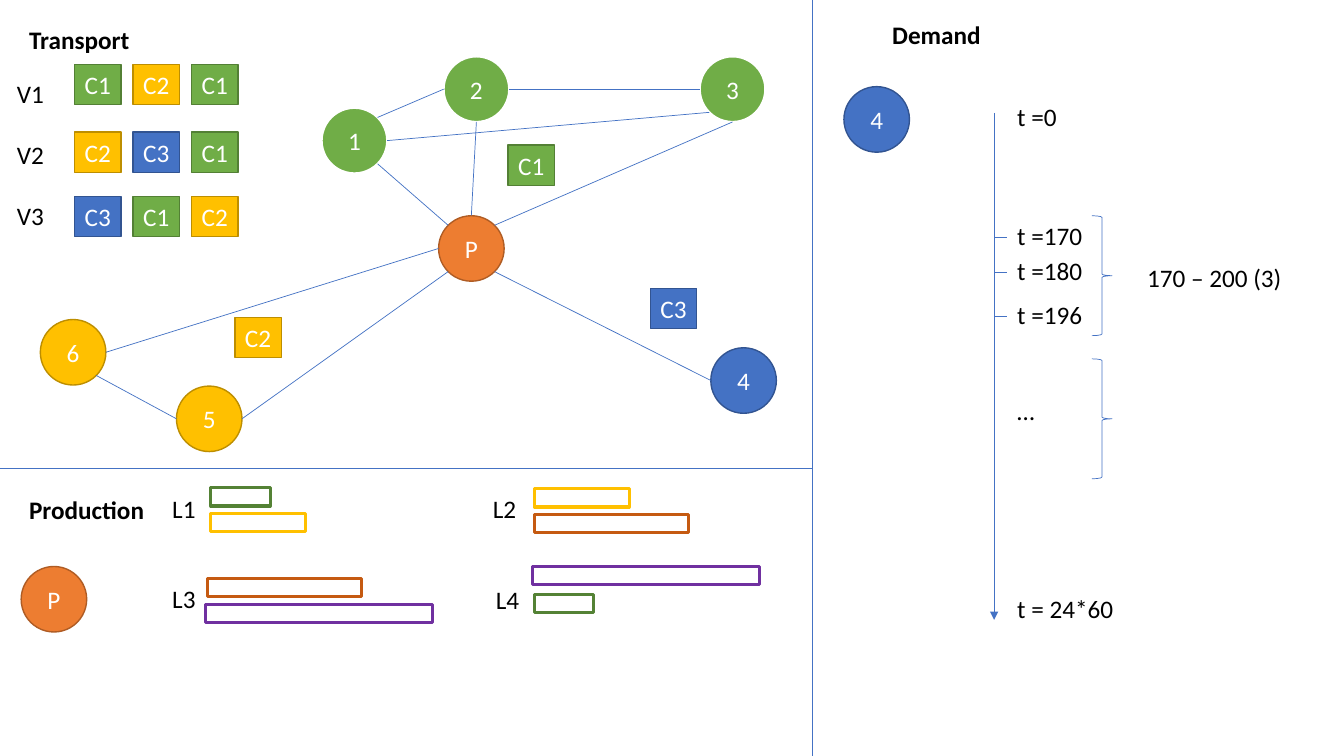
"""Build a slide that shows transport routes, production lines and demand over time."""
import pptx
import pptx.util
import pptx.dml.color
import pptx.enum.shapes
import pptx.enum.text
import pptx.oxml.ns
import lxml.etree

Inches = pptx.util.Inches
Pt = pptx.util.Pt
Shapes = pptx.enum.shapes.MSO_SHAPE
Align = pptx.enum.text.PP_ALIGN

COLOURS = {
    "black": "000000", "white": "FFFFFF",
    "green": "70AD47", "green edge": "538035", "green bar": "548235",
    "yellow": "FFC000", "yellow edge": "BD8E00",
    "blue": "4472C4", "blue edge": "325491",
    "orange": "ED7D31", "orange edge": "AF5C24", "orange bar": "C55A11",
    "purple": "7030A0",
}
DIAMETER = 0.65
DIAGONAL = 0.5 ** 0.5
SITES = {
    "left": (-1, 0), "right": (1, 0), "top": (0, -1), "bottom": (0, 1),
    "top left": (-DIAGONAL, -DIAGONAL), "top right": (DIAGONAL, -DIAGONAL),
    "bottom left": (-DIAGONAL, DIAGONAL), "bottom right": (DIAGONAL, DIAGONAL),
}
PRODUCTS = {"C1": "green", "C2": "yellow", "C3": "blue"}
BAR_WIDTHS = {"green bar": 0.59, "yellow": 0.94, "orange bar": 1.53, "purple": 2.25}


class Board:
    """Hold the text style and the current slide, and draw each kind of element."""

    def __init__(self, slide, font="Calibri", size=18):
        self.slide = slide
        self.font = font
        self.size = size

    def colour(self, name):
        return pptx.dml.color.RGBColor.from_string(COLOURS[name])

    def set_text(self, shape, text, colour, bold=False, gap=0):
        shape.text_frame.text = text
        for index, paragraph in enumerate(shape.text_frame.paragraphs):
            if index and gap:
                paragraph.space_before = Pt(gap)
            for run in paragraph.runs:
                run.font.name = self.font
                run.font.size = Pt(self.size)
                run.font.bold = bold
                run.font.color.rgb = self.colour(colour)

    def label(self, text, left, top, width, height=0.4, wrap=True, **style):
        box = self.slide.shapes.add_textbox(Inches(left), Inches(top), Inches(width), Inches(height))
        box.text_frame.word_wrap = wrap
        self.set_text(box, text, "black", **style)

    def outline(self, kind, left, top, width, height, edge, weight):
        shape = self.slide.shapes.add_shape(
            kind, Inches(left), Inches(top), Inches(width), Inches(height))
        shape.shadow.inherit = False
        shape.fill.background()
        shape.line.color.rgb = self.colour(edge)
        shape.line.width = Pt(weight)
        return shape

    def filled(self, kind, text, left, top, width, height, fill, edge, weight=1):
        shape = self.outline(kind, left, top, width, height, edge, weight)
        shape.fill.solid()
        shape.fill.fore_color.rgb = self.colour(fill)
        shape.text_frame.word_wrap = False
        self.set_text(shape, text, "white")
        shape.text_frame.paragraphs[0].alignment = Align.CENTER
        shape.text_frame.vertical_anchor = pptx.enum.text.MSO_ANCHOR.MIDDLE

    def node(self, text, left, top, colour):
        edge, weight = ("white", 1.5) if colour == "green" else (colour + " edge", 1)
        self.filled(Shapes.OVAL, text, left, top, DIAMETER, DIAMETER, colour, edge, weight)

    def crate(self, product, left, top):
        colour = PRODUCTS[product]
        self.filled(Shapes.RECTANGLE, product, left, top, 0.46, 0.4, colour, colour + " edge")

    def bar(self, colour, left, top):
        self.outline(Shapes.RECTANGLE, left, top, BAR_WIDTHS[colour], 0.18, colour, 2.25)

    def line(self, start, end, arrow=False):
        connector = self.slide.shapes.add_connector(
            pptx.enum.shapes.MSO_CONNECTOR.STRAIGHT, *map(Inches, (*start, *end)))
        connector.line.color.rgb = self.colour("blue")
        connector.line.width = Pt(0.5)
        qualified = pptx.oxml.ns.qn
        properties = connector._element.spPr
        if arrow:
            lxml.etree.SubElement(properties.find(qualified("a:ln")), qualified("a:tailEnd"), type="triangle")
        lxml.etree.SubElement(properties, qualified("a:effectLst"))


def draw_transport(board):
    """Draw the vehicles with their loads and the delivery network."""
    board.label("Transport", 0.19, 0.19, 1.2, wrap=False, bold=True)
    board.label("V1\nV2\nV3", 0.07, 0.73, 0.47, 1.62, wrap=False, gap=22)
    loads = {0.64: ("C1", "C2", "C1"), 1.31: ("C2", "C3", "C1"), 1.95: ("C3", "C1", "C2")}
    for top, products in loads.items():
        for column, product in enumerate(products):
            board.crate(product, 0.74 + 0.58 * column, top)

    nodes = {
        "1": (3.19, 1.07, "green"), "2": (4.4, 0.56, "green"), "3": (6.94, 0.56, "green"),
        "4": (7.05, 3.45, "blue"), "5": (1.75, 3.83, "yellow"), "6": (0.4, 3.17, "yellow"),
        "P": (4.35, 2.14, "orange"),
    }
    for name, place in nodes.items():
        board.node(name, *place)

    def site(name, side):
        radius = DIAMETER / 2
        return [corner + radius * (1 + step) for corner, step in zip(nodes[name], SITES[side])]

    links = [
        ("P", "top left", "1", "bottom right"), ("P", "top", "2", "bottom"),
        ("P", "top right", "3", "bottom"), ("P", "left", "6", "right"),
        ("P", "bottom left", "5", "right"), ("P", "bottom right", "4", "left"),
        ("2", "left", "1", "top right"), ("3", "left", "2", "right"),
        ("3", "bottom left", "1", "right"), ("6", "bottom right", "5", "left"),
    ]
    for first, first_side, second, second_side in links:
        board.line(site(first, first_side), site(second, second_side))
    for product, left, top in [("C1", 5.04, 1.44), ("C2", 2.33, 3.15), ("C3", 6.45, 2.86)]:
        board.crate(product, left, top)


def draw_production(board):
    """Draw the plant and the bars of its four lines."""
    board.label("Production", 0.19, 4.85, 1.35, wrap=False, bold=True)
    board.node("P", 0.21, 5.62, "orange")
    production_lines = {
        "L1": (1.61, 4.84, [("green bar", 2.09, 4.84), ("yellow", 2.09, 5.09)]),
        "L2": (4.79, 4.84, [("yellow", 5.3, 4.85), ("orange bar", 5.3, 5.1)]),
        "L3": (1.61, 5.74, [("orange bar", 2.06, 5.74), ("purple", 2.04, 6)]),
        "L4": (4.82, 5.75, [("purple", 5.28, 5.62), ("green bar", 5.3, 5.9)]),
    }
    for name, (left, top, bars) in production_lines.items():
        board.label(name, left, top, 0.6)
        for bar in bars:
            board.bar(*bar)


def draw_demand(board):
    """Draw the time axis of one customer with its grouped orders."""
    axis, labels = 9.86, 9.99
    board.label("Demand", 8.75, 0.14, 1.09, wrap=False, bold=True)
    board.node("4", 8.37, 0.86, "blue")
    board.line((axis, 1.12), (axis, 6.15), arrow=True)
    times = {"t =0": 0.96, "t =170": 2.14, "t =180": 2.48, "t =196": 2.92, "…": 3.87, "t = 24*60": 5.84}
    for text, top in times.items():
        board.label(text, labels, top, 1.29)
    for height in (2.35, 2.7, 3.14):
        board.line((axis, height), (labels, height))
    for top in (2.14, 3.56):
        board.outline(Shapes.RIGHT_BRACE, 10.83, top, 0.2, 1.19, "blue", 0.5)
    board.label("170 – 200 (3)", 11.28, 2.55, 1.66)


def main():
    """Create the presentation and save it."""
    presentation = pptx.Presentation()
    presentation.slide_width = Inches(13.33)
    presentation.slide_height = Inches(7.5)
    blank_layout = presentation.slide_layouts[6]
    board = Board(presentation.slides.add_slide(blank_layout))
    board.line((8.06, 0), (8.06, 7.5))
    board.line((0, 4.65), (8.06, 4.65))
    draw_transport(board)
    draw_production(board)
    draw_demand(board)
    presentation.save("out.pptx")


main()
